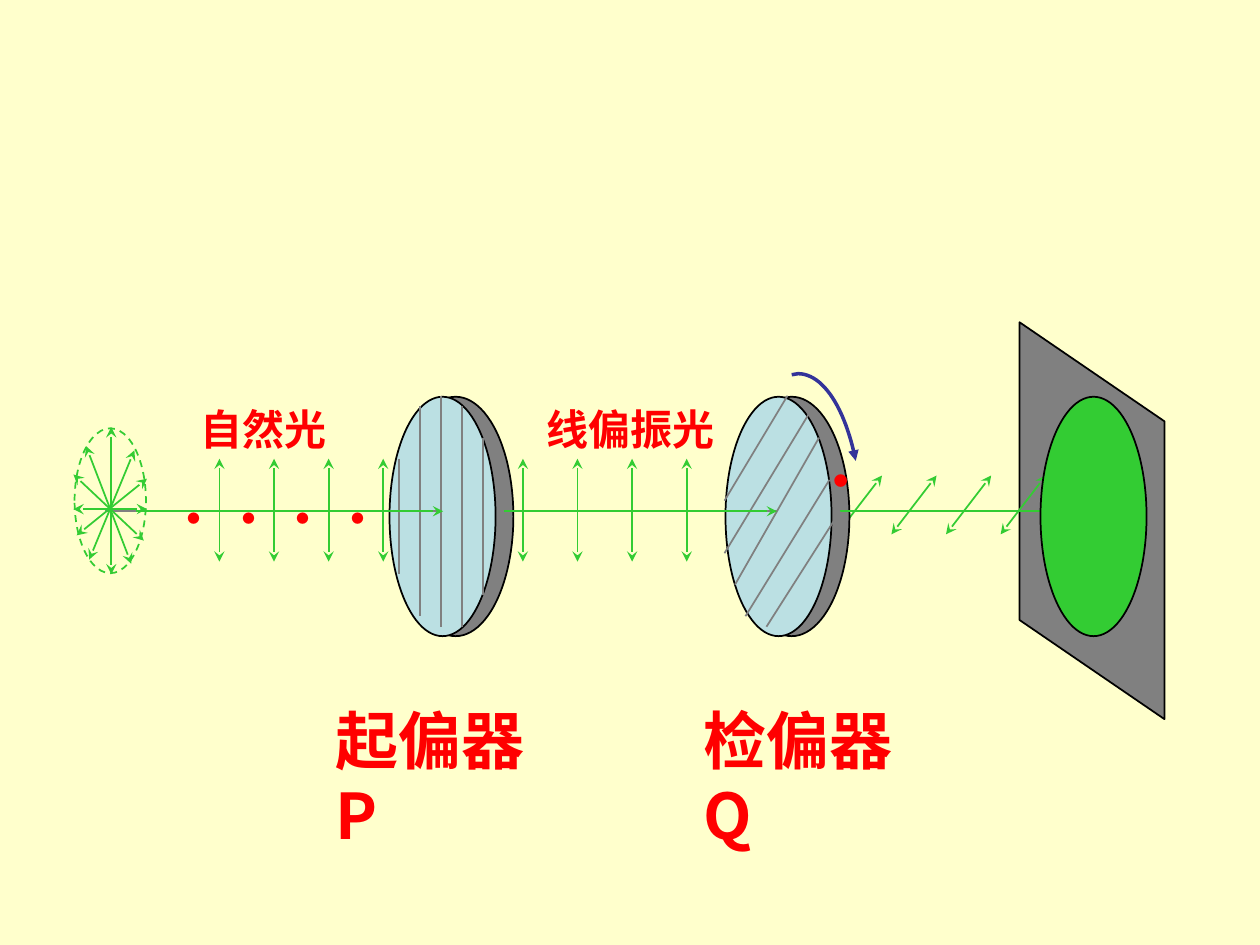
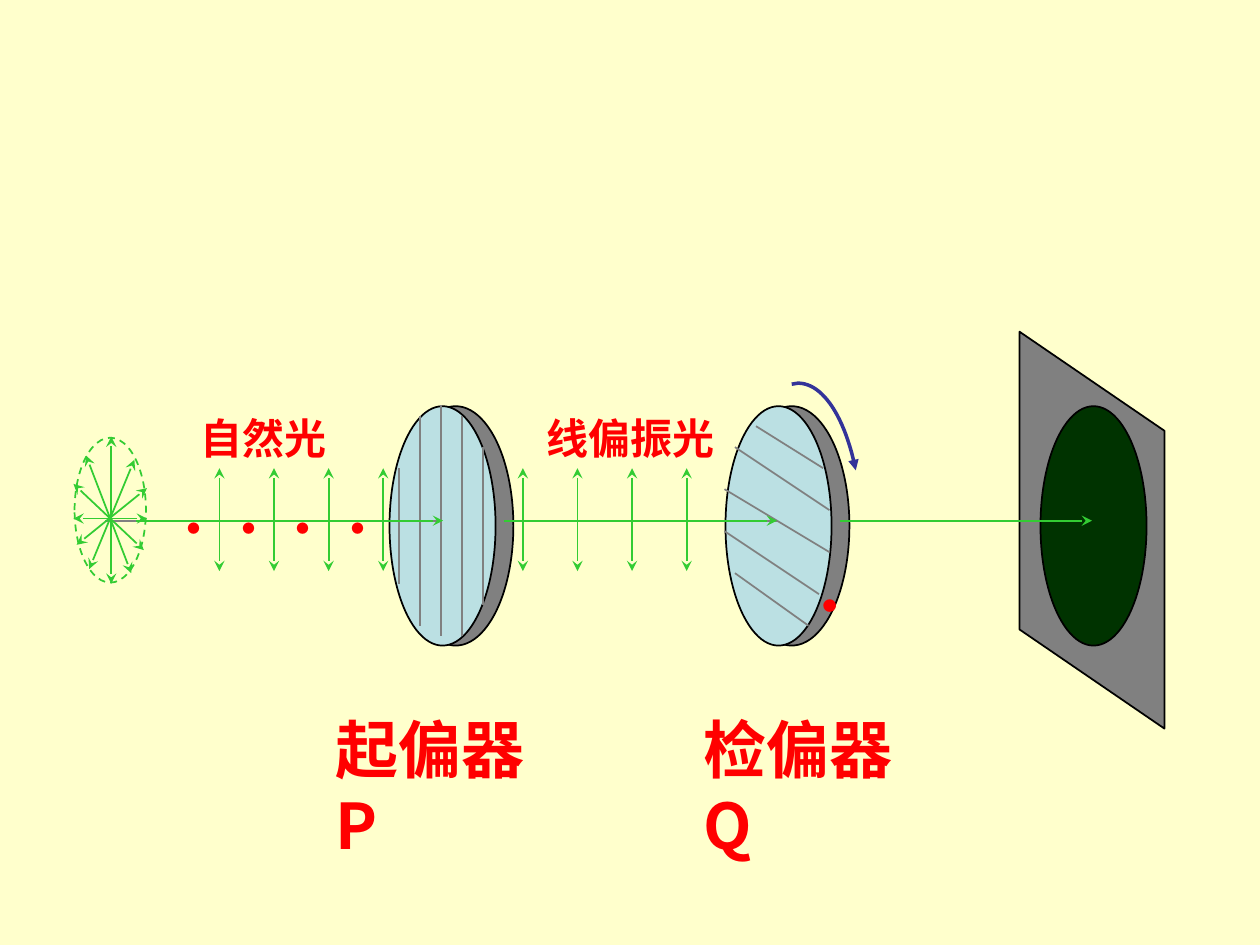
from dataclasses import dataclass
from typing import Any, NamedTuple, Optional

import pptx
import pptx.dml.color
import pptx.enum.dml
import pptx.enum.shapes
import pptx.enum.text
import pptx.oxml
import pptx.oxml.ns
import pptx.util

SHAPE = pptx.enum.shapes.MSO_SHAPE
SLIDE_WIDTH = pptx.util.Inches(10)
SLIDE_HEIGHT = pptx.util.Inches(7.5)
CELL = SLIDE_WIDTH / 120  # one square of the drawing grid
WAVE_STEP = 5.2
WAVES_PER_BEAM = 4


@dataclass(frozen=True)
class Theme:
    background: str = "FFFFCC"
    light: str = "33CC33"
    dark_spot: str = "003300"
    glass: str = "BBE0E3"
    gray: str = "808080"
    outline: str = "000000"
    rotation: str = "333399"
    text: str = "FF0000"
    cjk_font: str = "Noto Sans CJK SC"
    dot_font: str = "TeX Gyre Bonum"
    label_size: int = 36
    caption_size: int = 24
    mark_size: int = 40
    thin: int = 1
    thick: int = 2


THEME = Theme()


class Box(NamedTuple):
    """Left column, top row below the optical axis, width and height in cells."""
    column: float
    row: float
    width: float
    height: float


class Segment(NamedTuple):
    """A line from one grid point to another; rows count from the optical axis."""
    column: float
    row: float
    end_column: float
    end_row: float


class Label(NamedTuple):
    text: str
    box: Box
    size: int


@dataclass(frozen=True)
class Scene:
    axis: float  # share of the slide's height
    analyzer_lines: tuple[Segment, ...]
    mark: Box
    spot_color: str
    light_passes: bool


NATURAL_RAYS = (
    Segment(10.6, -8, 10.6, 6), Segment(12.8, -5.8, 8.5, 4.6),
    Segment(7, -3.5, 13.7, 2.8), Segment(7, -0.2, 14, -0.2),
    Segment(8.2, -6.2, 12.5, 5), Segment(7.3, 2.3, 14, -3.1),
)
POLARIZER_LINES = (
    Segment(42, -11, 42, 11), Segment(44, -10, 44, 11), Segment(46, -7, 46, 8),
    Segment(40, -10, 40, 10), Segment(38, -5, 38, 6),
)
LABELS = (
    Label("起偏器P", Box(30.8, 16.9, 25.4, 8.4), THEME.label_size),
    Label("检偏器Q", Box(65.8, 16.9, 25.4, 8.4), THEME.label_size),
    Label("自然光", Box(17.9, -11.3, 14.4, 6), THEME.caption_size),
    Label("线偏振光", Box(50.9, -11.3, 18.5, 6), THEME.caption_size),
)
SCENES = (
    Scene(
        axis=0.541,
        analyzer_lines=(
            Segment(78, -7, 70, 7), Segment(79, -3, 71, 10), Segment(80, 0, 73, 11),
            Segment(77.3, -9.7, 69, 4), Segment(75, -11, 69, -1),
        ),
        mark=Box(77.8, -9.6, 4.7, 9.2), spot_color=THEME.light, light_passes=True,
    ),
    Scene(
        axis=0.551,
        analyzer_lines=(
            Segment(79, 3, 69, -3), Segment(72, -9, 78.4, -5), Segment(70, -7, 79, -1),
            Segment(69, 1, 78, 7), Segment(70, 5, 77, 10),
        ),
        mark=Box(76.8, 1.4, 4.7, 9.2), spot_color=THEME.dark_spot, light_passes=False,
    ),
)


def rgb(color: str) -> pptx.dml.color.RGBColor:
    return pptx.dml.color.RGBColor.from_string(color)


def add_line_end(shape: Any, end: str, kind: str) -> None:
    """Put an arrowhead at the "head" or "tail" end of a shape's line."""
    line = shape._element.spPr.find(pptx.oxml.ns.qn("a:ln"))
    arrow = pptx.oxml.parse_xml(f'<a:{end}End {pptx.oxml.ns.nsdecls("a")} type="{kind}"/>')
    line.append(arrow)


class Stage:
    """Draws on one slide, with rows measured from its optical axis."""

    def __init__(self, slide: Any, axis: float) -> None:
        self.slide = slide
        self.axis = axis * SLIDE_HEIGHT

    def x(self, column: float) -> int:
        return round(column * CELL)

    def y(self, row: float) -> int:
        return round(self.axis + row * CELL)

    def frame(self, box: Box) -> tuple[int, int, int, int]:
        return (self.x(box.column), self.y(box.row),
                round(box.width * CELL), round(box.height * CELL))

    def add_shape(self, kind: Any, box: Box, fill: Optional[str],
                  line: str = THEME.outline, shapes: Any = None) -> Any:
        shape = (shapes or self.slide.shapes).add_shape(kind, *self.frame(box))
        shape.shadow.inherit = False
        if fill:
            shape.fill.solid()
            shape.fill.fore_color.rgb = rgb(fill)
        else:
            shape.fill.background()
        shape.line.color.rgb = rgb(line)
        shape.line.width = pptx.util.Pt(THEME.thin)
        return shape

    def add_line(self, segment: Segment, color: str = THEME.light,
                 ends: tuple[str, ...] = (), shapes: Any = None) -> None:
        connector = (shapes or self.slide.shapes).add_connector(
            pptx.enum.shapes.MSO_CONNECTOR.STRAIGHT,
            self.x(segment.column), self.y(segment.row),
            self.x(segment.end_column), self.y(segment.end_row))
        connector.line.color.rgb = rgb(color)
        connector.line.width = pptx.util.Pt(THEME.thin)
        for end in ends:
            add_line_end(connector, end, "stealth")
        effects = pptx.oxml.parse_xml(f'<a:effectLst {pptx.oxml.ns.nsdecls("a")}/>')
        connector._element.spPr.append(effects)

    def add_text(self, text: str, box: Box, *, size: int, font: str,
                 wrap: bool = False, line_spacing: Optional[float] = None,
                 top: float = 0.05, right: float = 0.1) -> None:
        frame = self.slide.shapes.add_textbox(*self.frame(box)).text_frame
        frame.word_wrap = wrap
        frame.margin_top = pptx.util.Inches(top)
        frame.margin_right = pptx.util.Inches(right)
        paragraph = frame.paragraphs[0]
        if line_spacing:
            paragraph.line_spacing = pptx.util.Pt(line_spacing)
        run = paragraph.add_run()
        run.text = text
        run.font.size = pptx.util.Pt(size)
        run.font.bold = True
        run.font.name = font
        run.font.color.rgb = rgb(THEME.text)
        east_asian = pptx.oxml.parse_xml(
            f'<a:ea {pptx.oxml.ns.nsdecls("a")} typeface="{font}"/>')
        run.font._element.append(east_asian)

    def add_waves(self, first: Segment, start: int = 0, stop: int = WAVES_PER_BEAM) -> None:
        """Repeat a double arrow along the beam."""
        for index in range(start, stop):
            shift = index * WAVE_STEP
            self.add_line(first._replace(column=first.column + shift,
                                         end_column=first.end_column + shift),
                          ends=("head", "tail"))


def draw_natural_light(stage: Stage) -> None:
    group = stage.slide.shapes.add_group_shape()
    ring = stage.add_shape(SHAPE.OVAL, Box(7.1, -7.9, 6.8, 13.8), None,
                           THEME.light, group.shapes)
    ring.line.dash_style = pptx.enum.dml.MSO_LINE.DASH
    for ray in NATURAL_RAYS:
        stage.add_line(ray, ends=("head", "tail"), shapes=group.shapes)


def draw_rotation_arrow(stage: Stage) -> None:
    start = (75.4, -13.0)
    controls = ((76, -13.1), (78.4, -13.1), (80.5, -9.8), (81.5, -4.8))
    steps = 24
    points = []
    for step in range(steps + 1):
        t = step / steps
        weights = ((1 - t) ** 3, 3 * t * (1 - t) ** 2, 3 * t ** 2 * (1 - t), t ** 3)
        column, row = (sum(weight * point[axis] for weight, point in zip(weights, controls))
                       for axis in (0, 1))
        points.append((stage.x(column), stage.y(row)))
    builder = stage.slide.shapes.build_freeform(stage.x(start[0]), stage.y(start[1]))
    builder.add_line_segments(points, close=False)
    arc = builder.convert_to_shape()
    arc.shadow.inherit = False
    arc.fill.background()
    arc.line.color.rgb = rgb(THEME.rotation)
    arc.line.width = pptx.util.Pt(THEME.thick)
    add_line_end(arc, "tail", "triangle")


def draw_scene(slide: Any, scene: Scene) -> None:
    stage = Stage(slide, scene.axis)
    tilted_wave = Segment(84, -3.4, 79.7, 2.2)
    spot = Box(99.1, -10.9, 10.1, 22.8)

    if scene.light_passes:
        stage.add_waves(tilted_wave, stop=1)
    for column in (37.9, 69.9):
        stage.add_shape(SHAPE.OVAL, Box(column, -10.9, 11, 22.8), THEME.gray)
    for column in (37.1, 69.1):
        stage.add_shape(SHAPE.OVAL, Box(column, -10.9, 10.1, 22.8), THEME.glass)
    screen = stage.add_shape(SHAPE.PARALLELOGRAM, Box(85.1, -6, 37.8, 13.8), THEME.gray)
    screen.rotation = 90
    screen.adjustments[0] = 0.684
    if not scene.light_passes:
        stage.add_shape(SHAPE.OVAL, spot, scene.spot_color)

    stage.add_line(Segment(48, 0, 74, 0), THEME.gray)
    stage.add_line(Segment(80, 0, 104, 0), ends=("tail",))
    stage.add_line(Segment(10, 0, 42, 0), THEME.gray)
    draw_natural_light(stage)
    for column in (20.9, 49.8):
        stage.add_waves(Segment(column, -5, column, 4.8))
    for index in range(WAVES_PER_BEAM):
        stage.add_text(".", Box(16.3 + index * WAVE_STEP, -5.4, 4.4, 8.4),
                       size=THEME.label_size, font=THEME.dot_font)
    if scene.light_passes:
        stage.add_waves(tilted_wave, start=1)

    for segment in POLARIZER_LINES + scene.analyzer_lines:
        stage.add_line(segment, THEME.gray)
    stage.add_line(Segment(48, 0, 74, 0), ends=("tail",))
    stage.add_line(Segment(13, 0, 42.2, 0), ends=("tail",))
    draw_rotation_arrow(stage)

    stage.add_text(".", scene.mark, size=THEME.mark_size, font=THEME.dot_font)
    for label in LABELS:
        two_lines = label.size == THEME.label_size
        stage.add_text(label.text, label.box, size=label.size, font=THEME.cjk_font,
                       wrap=two_lines, right=0.4 if two_lines else 0.1,
                       line_spacing=1.2 * label.size, top=0.05 + 0.05 * label.size / 36)
    if scene.light_passes:
        stage.add_shape(SHAPE.OVAL, spot, scene.spot_color)


def main() -> None:
    presentation = pptx.Presentation()
    presentation.slide_width = SLIDE_WIDTH
    presentation.slide_height = SLIDE_HEIGHT
    background = presentation.slide_master.background.fill
    background.solid()
    background.fore_color.rgb = rgb(THEME.background)
    blank_layout = presentation.slide_layouts.get_by_name("Blank")
    for scene in SCENES:
        draw_scene(presentation.slides.add_slide(blank_layout), scene)
    presentation.save("out.pptx")


if __name__ == "__main__":
    main()
